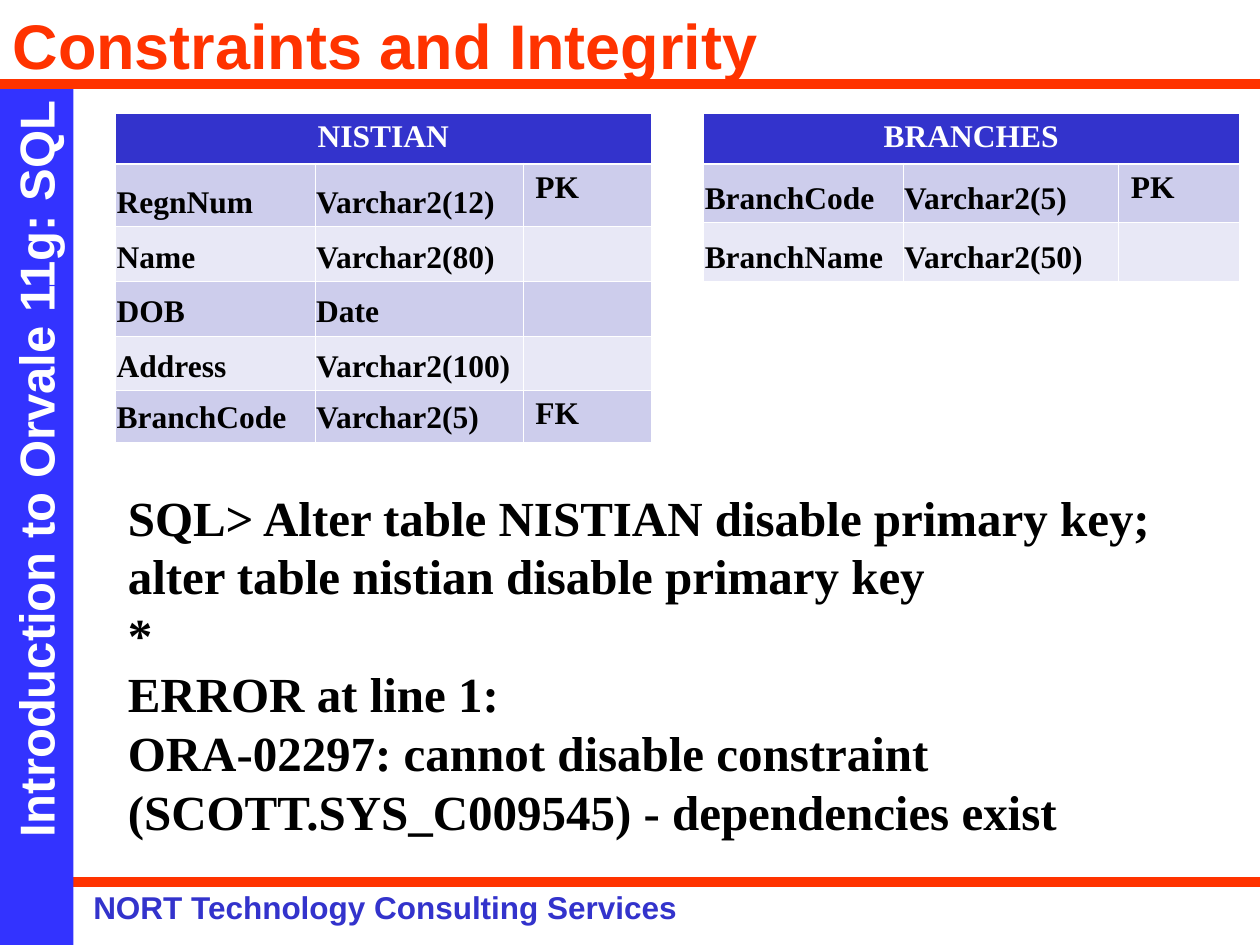
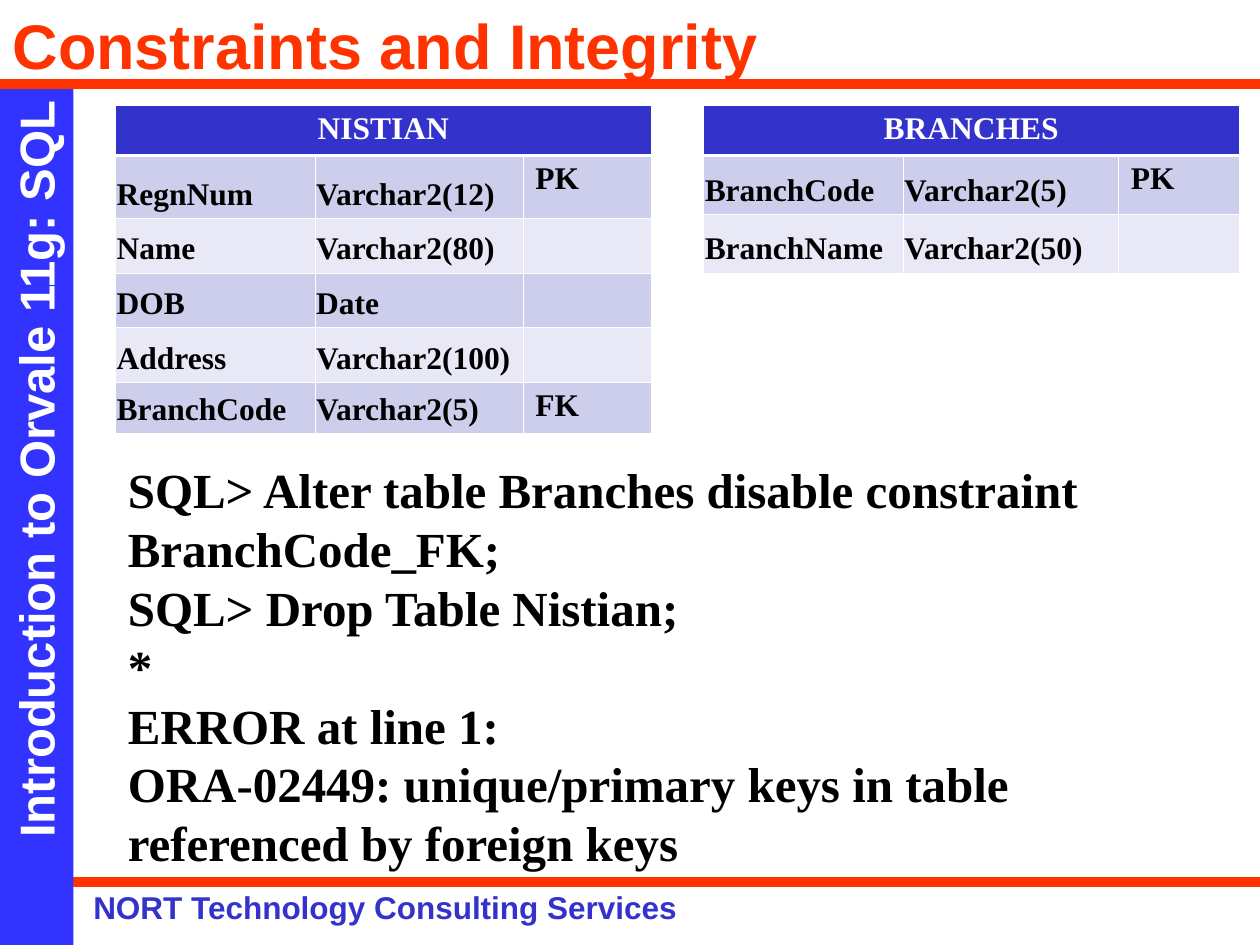
from lxml import etree
from pptx import Presentation
from pptx import util as u
from pptx.dml.color import RGBColor
from pptx.enum import shapes, text
from pptx.oxml import ns

ORANGE = RGBColor(0xFF, 0x33, 0x00)
BAND_BLUE = RGBColor(0x33, 0x33, 0xFF)
DEEP_BLUE = RGBColor(0x33, 0x33, 0xCC)
ROW_TINTS = [RGBColor(0xCD, 0xCD, 0xEC), RGBColor(0xE8, 0xE8, 0xF6)]
WHITE = RGBColor(0xFF, 0xFF, 0xFF)
BLACK = RGBColor(0x00, 0x00, 0x00)

SANS, SERIF = "Arial", "Times New Roman"
WIDTH, HEIGHT = u.Inches(10), u.Inches(7.5)
GRID_COLUMNS, GRID_ROWS = 120, 90
SIDEBAR = 7
TOP_RULE, BOTTOM_RULE = 8, 84
CONTENT_LEFT = 11
THIN, THICK = 0.45, 1.47

TITLE = "Constraints and Integrity"
COURSE = "Introduction to Orvale 11g: SQL"
COMPANY = "NORT Technology Consulting Services"

NISTIAN = {
    "name": "NISTIAN",
    "left": CONTENT_LEFT,
    "columns": [19, 19.8, 12.2],
    "rows": [4.8, 6, 5.2, 5.2, 5.2, 4.9],
    "fields": [
        ("RegnNum", "Varchar2(12)", "PK"),
        ("Name", "Varchar2(80)", ""),
        ("DOB", "Date", ""),
        ("Address", "Varchar2(100)", ""),
        ("BranchCode", "Varchar2(5)", "FK"),
    ],
}
BRANCHES = {
    "name": "BRANCHES",
    "left": 67,
    "columns": [19, 20.5, 11.5],
    "rows": [4.8, 5.6, 5.6],
    "fields": [
        ("BranchCode", "Varchar2(5)", "PK"),
        ("BranchName", "Varchar2(50)", ""),
    ],
}

EXAMPLES = [
    {
        "tables_top": 10.8,
        "session_rows": (45.8, 34.8),
        "session": [
            "SQL> Alter table NISTIAN disable primary key;",
            "alter table nistian disable primary key",
            "*",
            "ERROR at line 1:",
            "ORA-02297: cannot disable constraint "
            "(SCOTT.SYS_C009545) - dependencies exist",
        ],
    },
    {
        "tables_top": 10,
        "session_rows": (43.2, 40.4),
        "session": [
            "SQL> Alter table Branches disable constraint BranchCode_FK;",
            "SQL> Drop Table Nistian;",
            "*",
            "ERROR at line 1:",
            "ORA-02449: unique/primary keys in table "
            "referenced by foreign keys",
        ],
    },
]


def across(columns):
    return u.Emu(round(WIDTH * columns / GRID_COLUMNS))


def down(rows):
    return u.Emu(round(HEIGHT * rows / GRID_ROWS))


def area(left, top, width, height):
    return across(left), down(top), across(width), down(height)


def style(paragraph, size, face, color, align=text.PP_ALIGN.LEFT):
    paragraph.alignment = align
    paragraph.space_before = u.Pt(0)
    font = paragraph.font
    font.size, font.name, font.bold = u.Pt(size), face, True
    font.color.rgb = color


def write(frame, lines, size, face, color):
    frame.word_wrap = True
    frame.auto_size = text.MSO_AUTO_SIZE.NONE
    frame.vertical_anchor = text.MSO_ANCHOR.TOP
    frame.text = "\n".join(lines)
    for paragraph in frame.paragraphs:
        style(paragraph, size, face, color)


def add_label(slide, place, lines, size, face, color):
    label = slide.shapes.add_textbox(*area(*place))
    write(label.text_frame, lines, size, face, color)
    return label


def add_rule(slide, row):
    rule = slide.shapes.add_connector(
        shapes.MSO_CONNECTOR.STRAIGHT, 0, down(row), WIDTH, down(row))
    rule.line.color.rgb = ORANGE
    rule.line.width = u.Pt(6)
    etree.SubElement(rule.element.spPr, ns.qn("a:effectLst"))


def add_sidebar(slide):
    band = slide.shapes.add_shape(
        shapes.MSO_SHAPE.RECTANGLE,
        *area(0, TOP_RULE, SIDEBAR, GRID_ROWS - TOP_RULE))
    band.shadow.inherit = False
    band.fill.solid()
    band.fill.fore_color.rgb = BAND_BLUE
    band.line.fill.background()


def add_frame(slide):
    add_rule(slide, BOTTOM_RULE)
    add_sidebar(slide)
    add_rule(slide, TOP_RULE)
    course = add_label(slide, (-33.6, 40.6, 73.9, 6.8), [COURSE],
                       28, SANS, WHITE)
    course.rotation = 270
    add_label(slide, (7.7, BOTTOM_RULE, 91.3, 4.8), [COMPANY],
              18, SANS, DEEP_BLUE)


def set_title(slide):
    title = slide.shapes.title
    title.left, title.top, title.width, title.height = area(0, 0, 104, 8.4)
    write(title.text_frame, [TITLE], 36, SANS, ORANGE)


def set_borders(cell, top, bottom):
    properties = cell._tc.get_or_add_tcPr()
    sides = {"lnL": THIN, "lnR": THIN, "lnT": top, "lnB": bottom}
    for side, width in sides.items():
        edge = etree.SubElement(properties, ns.qn(f"a:{side}"),
                                w=str(u.Pt(width)))
        fill = etree.SubElement(edge, ns.qn("a:solidFill"))
        etree.SubElement(fill, ns.qn("a:srgbClr"), val=str(WHITE))


def paint(cell, color, top=THIN, bottom=THIN):
    set_borders(cell, top, bottom)
    cell.fill.solid()
    cell.fill.fore_color.rgb = color


def add_field(cell, value, is_key):
    cell.text = value
    style(cell.text_frame.paragraphs[0], 18, SERIF, BLACK)
    if not is_key:
        cell.vertical_anchor = text.MSO_ANCHOR.BOTTOM
        cell.margin_left = cell.margin_right = u.Inches(0.01)


def add_schema(slide, schema, top):
    columns, rows = schema["columns"], schema["rows"]
    grid = slide.shapes.add_table(
        len(rows), len(columns),
        *area(schema["left"], top, sum(columns), sum(rows))).table
    for column, width in zip(grid.columns, columns):
        column.width = across(width)
    for row, height in zip(grid.rows, rows):
        row.height = down(height)

    heading = grid.cell(0, 0)
    heading.merge(grid.cell(0, len(columns) - 1))
    heading.text = schema["name"]
    style(heading.text_frame.paragraphs[0], 18, SERIF, WHITE,
          text.PP_ALIGN.CENTER)
    for cell in grid.rows[0].cells:
        paint(cell, DEEP_BLUE, bottom=THICK)

    for number, field in enumerate(schema["fields"], 1):
        for position, value in enumerate(field):
            cell = grid.cell(number, position)
            add_field(cell, value, is_key=position == 2)
            paint(cell, ROW_TINTS[(number - 1) % 2],
                  top=THICK if number == 1 else THIN)


def add_example(deck, example):
    slide = deck.slides.add_slide(deck.slide_layouts[5])
    add_frame(slide)
    set_title(slide)
    for schema in (NISTIAN, BRANCHES):
        add_schema(slide, schema, example["tables_top"])
    top, height = example["session_rows"]
    add_label(slide, (CONTENT_LEFT, top, 103, height), example["session"],
              28, SERIF, BLACK)


def main():
    deck = Presentation()
    deck.slide_width, deck.slide_height = WIDTH, HEIGHT
    for example in EXAMPLES:
        add_example(deck, example)
    deck.save("out.pptx")


if __name__ == "__main__":
    main()
